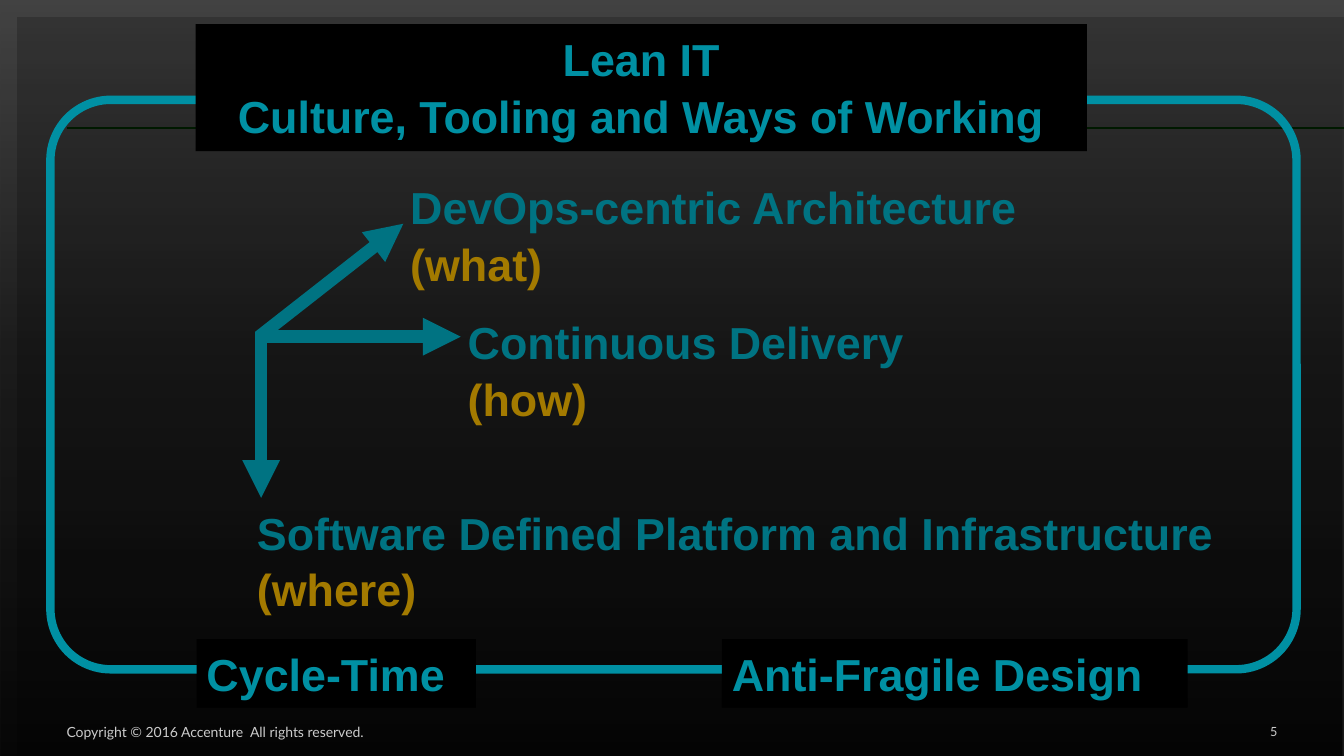
from dataclasses import dataclass
from lxml import etree
from pptx import Presentation
from pptx import util as u
from pptx.dml.color import RGBColor
from pptx.enum import shapes, text
from pptx.oxml import ns


@dataclass(frozen=True)
class Theme:
    teal: str = "00B5CC"
    gold: str = "FFC000"
    green: str = "00A000"
    black: str = "000000"
    white: str = "FFFFFF"
    head: str = "Arial"
    foot: str = "Lato"
    big: int = 32
    small: int = 10
    tiny: int = 9


PX = u.Inches(0.01)
WIDE, HIGH = 1333, 750


def scale(*sizes):
    return [size * PX for size in sizes]


def child(parent, tag, **attrs):
    return etree.SubElement(parent, ns.qn(tag), attrs)


class Deck:
    def __init__(self, theme):
        self.theme = theme
        self.show = Presentation()
        self.show.slide_width, self.show.slide_height = scale(WIDE, HIGH)
        self.slide = self.show.slides.add_slide(self.show.slide_layouts[5])
        self.items = self.slide.shapes

    def shape(self, kind, box):
        item = self.items.add_shape(kind, *scale(*box))
        item.shadow.inherit = False
        item.fill.background()
        item.line.fill.background()
        return item

    def veil(self, box, alpha):
        item = self.shape(shapes.MSO_SHAPE.RECTANGLE, box)
        self.black(item)
        tint = item.element.spPr.find(".//" + ns.qn("a:srgbClr"))
        child(tint, "a:alpha", val=str(alpha * 1000))

    def fade(self, box, stops):
        item = self.shape(shapes.MSO_SHAPE.RECTANGLE, box)
        props = item.element.spPr
        grad = etree.Element(ns.qn("a:gradFill"), rotWithShape="1")
        steps = child(grad, "a:gsLst")
        for place, alpha in stops:
            stop = child(steps, "a:gs", pos=str(place * 1000))
            tint = child(stop, "a:srgbClr", val=self.theme.black)
            child(tint, "a:alpha", val=str(alpha * 1000))
        child(grad, "a:lin", ang="5400000", scaled="0")
        props.replace(props.find(ns.qn("a:noFill")), grad)

    def line(self, start, end, color, width, arrow=False):
        item = self.items.add_connector(shapes.MSO_CONNECTOR.STRAIGHT,
                                        *scale(*start, *end))
        item.line.color.rgb = RGBColor.from_string(color)
        item.line.width = u.Pt(width)
        props = item.element.spPr
        if arrow:
            child(props.find(ns.qn("a:ln")), "a:tailEnd", type="triangle")
        child(props, "a:effectLst")

    def frame(self, box, curve, width):
        item = self.shape(shapes.MSO_SHAPE.ROUNDED_RECTANGLE, box)
        item.adjustments[0] = curve
        item.line.color.rgb = RGBColor.from_string(self.theme.teal)
        item.line.width = u.Pt(width)

    def words(self, item, rows, size, font, align, anchor, pads):
        body = item.text_frame
        body.word_wrap = True
        body.auto_size = text.MSO_AUTO_SIZE.NONE
        body.vertical_anchor = anchor
        (body.margin_left, body.margin_top,
         body.margin_right, body.margin_bottom) = scale(*pads)
        for spot, (phrase, color) in enumerate(rows):
            para = body.add_paragraph() if spot else body.paragraphs[0]
            para.text = phrase
            para.alignment = align
            para.font.size = u.Pt(size)
            para.font.name = font
            para.font.bold = font == self.theme.head
            para.font.color.rgb = RGBColor.from_string(color)
            if font == self.theme.head:
                para.line_spacing = 1.05

    def large(self, item, rows, align=text.PP_ALIGN.LEFT):
        self.words(item, rows, self.theme.big, self.theme.head, align,
                   text.MSO_ANCHOR.TOP, (10, 5, 10, 5))

    def label(self, box, rows):
        self.large(self.items.add_textbox(*scale(*box)), rows)

    def black(self, item):
        item.fill.solid()
        item.fill.fore_color.rgb = RGBColor.from_string(self.theme.black)

    def title(self, box, phrase):
        item = self.items.title
        item.left, item.top, item.width, item.height = scale(*box)
        self.black(item)
        self.large(item, [(phrase, self.theme.teal)], text.PP_ALIGN.CENTER)
        self.items.element.append(item.element)

    def plate(self, box, phrase):
        item = self.shape(shapes.MSO_SHAPE.RECTANGLE, box)
        self.black(item)
        self.large(item, [(phrase, self.theme.teal)])

    def footer(self, box, phrase, size, align, pads):
        self.words(self.items.add_textbox(*scale(*box)),
                   [(phrase, self.theme.white)], size, self.theme.foot,
                   align, text.MSO_ANCHOR.MIDDLE, pads)


def main():
    theme = Theme()
    deck = Deck(theme)
    full = (0, 0, WIDE, HIGH)
    deck.line((66, 127), (WIDE, 127), theme.green, 1)
    deck.veil(full, 67)
    deck.fade(full, [(0, 0), (46, 57), (100, 90)])

    branches = [
        ((257, 334), (457, 334), (454, 305, 456, 118),
         "Continuous Delivery", "(how)"),
        ((257, 334), (400, 222), (397, 171, 626, 118),
         "DevOps-centric Architecture", "(what)"),
        ((259, 329), (259, 494), (245, 494, 976, 118),
         "Software Defined Platform and Infrastructure", "(where)"),
    ]
    for start, end, box, name, role in branches:
        deck.line(start, end, theme.teal, 9, arrow=True)
        deck.label(box, [(name, theme.teal), (role, theme.gold)])

    deck.veil(full, 20)
    deck.footer((1187, 719, 80, 14), "5", theme.tiny,
                text.PP_ALIGN.RIGHT, (10, 5, 0, 5))
    deck.footer((66, 719, 592, 14),
                "Copyright © 2016 Accenture  All rights reserved.",
                theme.small, text.PP_ALIGN.LEFT, (0, 5, 10, 5))

    deck.frame((50, 99, 1236, 565), 0.106, 6)
    deck.title((194, 24, 884, 126),
               "Lean IT\vCulture, Tooling and Ways of Working")
    deck.plate((195, 634, 277, 68), "Cycle-Time")
    deck.plate((716, 634, 462, 68), "Anti-Fragile Design")
    deck.veil((17, 17, WIDE - 17, HIGH - 17), 20)
    deck.show.save("out.pptx")


if __name__ == "__main__":
    main()
